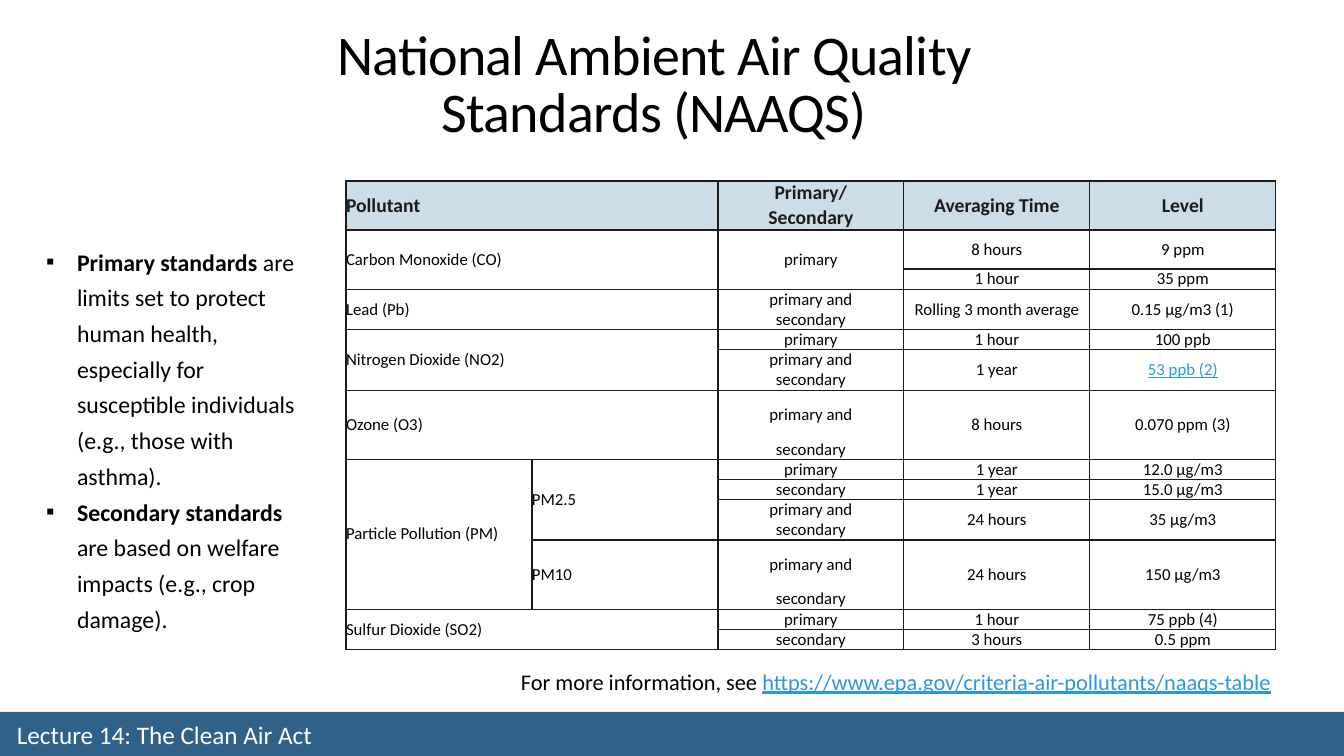
import pptx
import pptx.util
import pptx.dml.color
import pptx.enum.shapes
import pptx.enum.text
import pptx.oxml.ns
import lxml.etree

PX = 914400 / 100.8  # EMU per pixel
ALIGN = pptx.enum.text.PP_ALIGN
ANCHOR = pptx.enum.text.MSO_ANCHOR
THEME = dict(
    font="Calibri", text="000000", white="FFFFFF", bar="306289", link="2998E3",
    head="1B1B1B", head_fill="CCDDEA", border="1B1B1B",
    title_pt=40, footer_pt=18, list_pt=17, note_pt=16, head_pt=14, cell_pt=12,
)


def px(*lengths):
    return [round(n * PX) for n in lengths]


def add_run(p, text, size, color="text", **formats):
    r = p.add_run()
    r.text = text
    r.font.color.rgb = pptx.dml.color.RGBColor.from_string(THEME[color])
    formats.update(name=THEME["font"], size=pptx.util.Pt(THEME[size]))
    for name, value in formats.items():
        setattr(r.font, name, value)
    return r


prs = pptx.Presentation()
prs.slide_width, prs.slide_height = px(1344, 756)
s = prs.slides.add_slide(prs.slide_layouts[1])
title, body = s.placeholders

# Footer bar with lecture name
bar = s.shapes.add_shape(pptx.enum.shapes.MSO_SHAPE.RECTANGLE, *px(0, 712, 1344, 44))
bar.shadow.inherit = False
bar.fill.solid()
bar.fill.fore_color.rgb = pptx.dml.color.RGBColor.from_string(THEME["bar"])
bar.line.fill.background()
tf = s.shapes.add_textbox(*px(7, 718, 665, 32)).text_frame
tf.word_wrap = True
tf.vertical_anchor = ANCHOR.MIDDLE
add_run(tf.paragraphs[0], "Lecture 14: The Clean Air Act", "footer_pt", "white")

# Title
title.left, title.top, title.width, title.height = px(256, 17, 796, 132)
tf = title.text_frame
tf.auto_size = pptx.enum.text.MSO_AUTO_SIZE.NONE
tf.vertical_anchor = ANCHOR.BOTTOM
p = tf.paragraphs[0]
p.alignment, p.line_spacing = ALIGN.CENTER, 0.85
r = add_run(p, "National Ambient Air Quality Standards (NAAQS)", "title_pt")
r.font._element.set("spc", "-50")

# Definitions list
DEFINITIONS = [
    ("Primary standards ", "are limits set to protect human health, especially for "
     "susceptible individuals (e.g., those with asthma)."),
    ("Secondary standards ", "are based on welfare impacts (e.g., crop damage)."),
]
body.left, body.top, body.width, body.height = px(36, 235, 275, 404)
tf = body.text_frame
tf.auto_size = pptx.enum.text.MSO_AUTO_SIZE.NONE
for i, (term, meaning) in enumerate(DEFINITIONS):
    p = tf.add_paragraph() if i else tf.paragraphs[0]
    pPr = p._p.get_or_add_pPr()
    indent, = px(31)
    pPr.set("marL", str(indent))
    pPr.set("indent", str(-indent))
    lxml.etree.SubElement(pPr, pptx.oxml.ns.qn("a:buChar"), char="▪")
    p.line_spacing, p.space_before = 1.25, pptx.util.Pt(0)
    add_run(p, term, "list_pt", bold=True)
    add_run(p, meaning, "list_pt", bold=False)

# Standards table: "<" joins the cell to its left, "^" joins the one above
ROWS = [
    ("Pollutant", "<", "Primary/", "Averaging Time", "Level"),
    ("^", "^", "Secondary", "^", "^"),
    ("Carbon Monoxide (CO)", "<", "primary", "8 hours", "9 ppm"),
    ("^", "^", "^", "1 hour", "35 ppm"),
    ("Lead (Pb)", "<", "primary and", "Rolling 3 month average", "0.15 μg/m3 (1)"),
    ("^", "^", "secondary", "^", "^"),
    ("Nitrogen Dioxide (NO2)", "<", "primary", "1 hour", "100 ppb"),
    ("^", "^", "primary and", "1 year", "53 ppb (2)"),
    ("^", "^", "secondary", "^", "^"),
    ("Ozone (O3)", "<", "primary and", "8 hours", "0.070 ppm (3)"),
    ("^", "^", "secondary", "^", "^"),
    ("Particle Pollution (PM)", "PM2.5", "primary", "1 year", "12.0 μg/m3"),
    ("^", "^", "secondary", "1 year", "15.0 μg/m3"),
    ("^", "^", "primary and", "24 hours", "35 μg/m3"),
    ("^", "^", "secondary", "^", "^"),
    ("^", "PM10", "primary and", "24 hours", "150 μg/m3"),
    ("^", "^", "secondary", "^", "^"),
    ("Sulfur Dioxide (SO2)", "<", "primary", "1 hour", "75 ppb (4)"),
    ("^", "^", "secondary", "3 hours", "0.5 ppm"),
]
HEAD_ROWS = 2
SPLIT = ("Primary/", "primary and")  # continued in the cell below
LINKED = "53 ppb (2)"
HEIGHTS = {0: 24, 1: 25, 2: 39, 9: 49, 15: 49}
COL_W, ROW_H = 186, 20
heights = [HEIGHTS.get(i, ROW_H) for i in range(len(ROWS))]
table = s.shapes.add_table(len(ROWS), 5, *px(346, 181, 5 * COL_W, sum(heights))).table
table.first_row = table.horz_banding = False
for col in table.columns:
    col.width, = px(COL_W)
for row, height in zip(table.rows, heights):
    row.height, = px(height)

for i, row in enumerate(ROWS):
    header = i < HEAD_ROWS
    for j, text in enumerate(row):
        cell = table.cell(i, j)
        cell.margin_left = cell.margin_right = cell.margin_top = cell.margin_bottom = 0
        cell.vertical_anchor = ANCHOR.MIDDLE
        open_sides = {"B": text in SPLIT, "T": i > 0 and ROWS[i - 1][j] in SPLIT}
        for side in "LRTB":
            ln = lxml.etree.SubElement(cell._tc.get_or_add_tcPr(),
                                       pptx.oxml.ns.qn("a:ln" + side), w="12700")
            if open_sides.get(side):
                lxml.etree.SubElement(ln, pptx.oxml.ns.qn("a:noFill"))
            else:
                fill = lxml.etree.SubElement(ln, pptx.oxml.ns.qn("a:solidFill"))
                lxml.etree.SubElement(fill, pptx.oxml.ns.qn("a:srgbClr"), val=THEME["border"])
        cell.fill.solid()
        cell.fill.fore_color.rgb = pptx.dml.color.RGBColor.from_string(
            THEME["head_fill" if header else "white"])
        if text in "<^":
            continue
        p = cell.text_frame.paragraphs[0]
        p.alignment = ALIGN.LEFT if j < 2 else ALIGN.CENTER
        color = "head" if header else "link" if text == LINKED else "text"
        add_run(p, text, "head_pt" if header else "cell_pt", color,
                bold=header, underline=text == LINKED)
        # Span over the joined cells
        last_row, last_col = i, j
        while last_row + 1 < len(ROWS) and ROWS[last_row + 1][j] == "^":
            last_row += 1
        while last_col + 1 < len(row) and row[last_col + 1] == "<":
            last_col += 1
        if (last_row, last_col) != (i, j):
            cell.merge(table.cell(last_row, last_col))

# Source note
tf = s.shapes.add_textbox(*px(511, 656, 800, 41)).text_frame
tf.word_wrap = True
p = tf.paragraphs[0]
p.line_spacing = 1.25
add_run(p, "For more information, see ", "note_pt")
add_run(p, "https://www.epa.gov/criteria-air-pollutants/naaqs-table", "note_pt", "link",
        underline=True)

prs.save("out.pptx")
